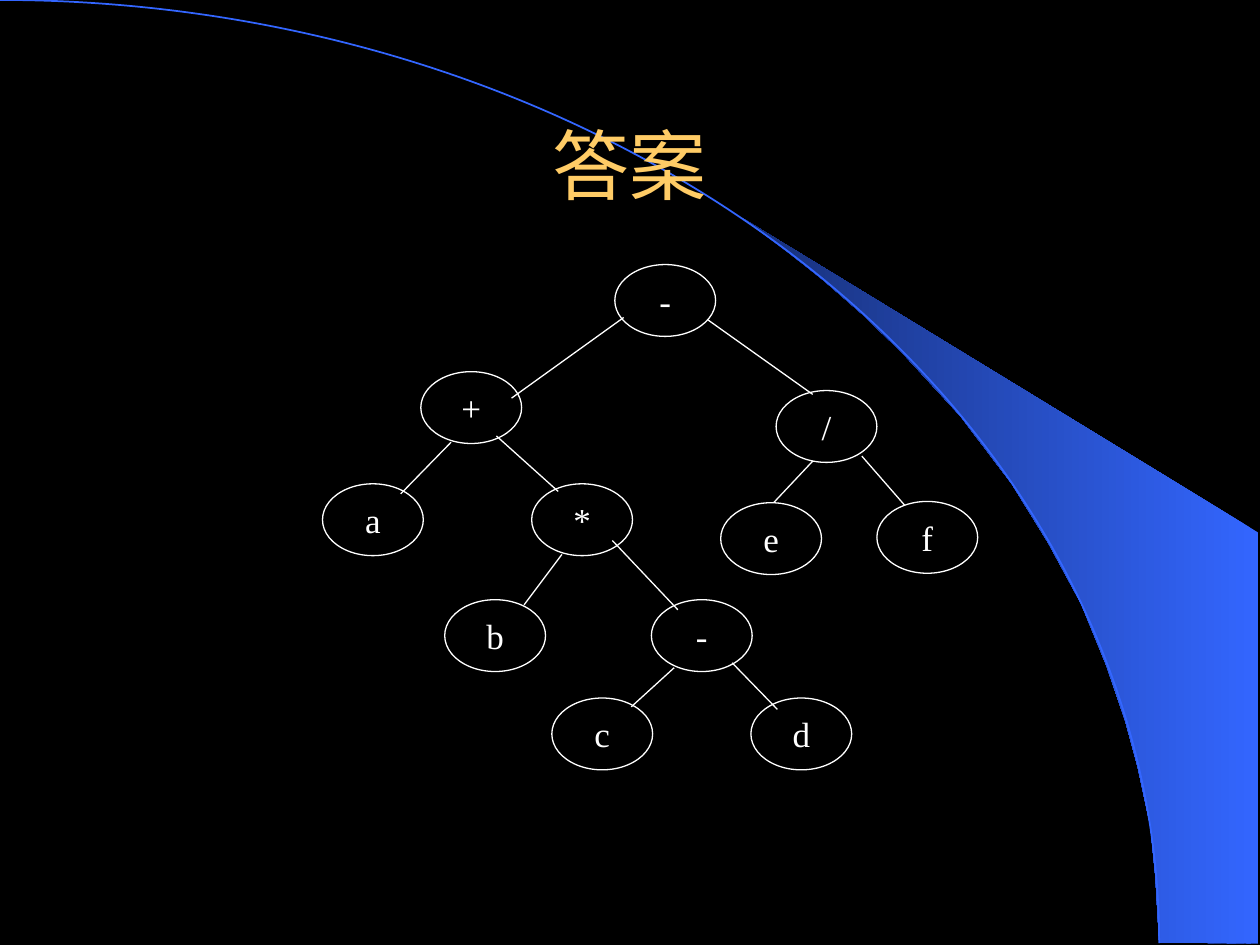
from typing import NamedTuple

from lxml.etree import SubElement
from pptx import Presentation
from pptx.dml.color import RGBColor
from pptx.enum.shapes import MSO_CONNECTOR, MSO_SHAPE
from pptx.enum.text import MSO_ANCHOR, PP_ALIGN
from pptx.oxml.ns import qn
from pptx.util import Inches, Pt

BLACK = RGBColor(0x00, 0x00, 0x00)
WHITE = RGBColor(0xFF, 0xFF, 0xFF)
GOLD = RGBColor(0xFF, 0xCC, 0x66)
BLUE = RGBColor(0x33, 0x66, 0xFF)
NAVY = RGBColor(0x17, 0x2F, 0x75)

NODE_W, NODE_H = 0.8, 0.57
TITLE_FONT = {"size": Pt(44), "name": "Arial"}
NODE_FONT = {"size": Pt(20), "name": "Times New Roman"}


class Node(NamedTuple):
    label: str
    left: float
    top: float


class Edge(NamedTuple):
    x1: float
    y1: float
    x2: float
    y2: float


NODES = [
    Node("-", 4.88, 2.1),
    Node("+", 3.34, 2.95),
    Node("/", 6.16, 3.1),
    Node("a", 2.56, 3.84),
    Node("*", 4.22, 3.84),
    Node("e", 5.72, 3.99),
    Node("f", 6.96, 3.98),
    Node("b", 3.53, 4.76),
    Node("-", 5.17, 4.76),
    Node("c", 4.38, 5.54),
    Node("d", 5.96, 5.54),
]

EDGES = [
    Edge(4.95, 2.52, 4.06, 3.16),
    Edge(5.62, 2.54, 6.45, 3.13),
    Edge(3.58, 3.51, 3.18, 3.92),
    Edge(3.94, 3.46, 4.43, 3.9),
    Edge(6.45, 3.66, 6.14, 3.99),
    Edge(6.84, 3.62, 7.18, 4.01),
    Edge(4.46, 4.4, 4.16, 4.8),
    Edge(4.86, 4.29, 5.38, 4.84),
    Edge(5.35, 5.3, 5.01, 5.61),
    Edge(5.81, 5.26, 6.17, 5.63),
]

SWOOSH = [
    (9.2, 7.48), (9.99, 7.49), (9.99, 4.23), (5.89, 1.73), (6.24, 1.99),
    (6.53, 2.22), (6.85, 2.5), (7.16, 2.8), (7.62, 3.3), (8.03, 3.84),
    (8.32, 4.31), (8.58, 4.79), (8.78, 5.28), (8.93, 5.72), (9.03, 6.09),
    (9.13, 6.56), (9.17, 6.96),
]


def set_line(sp, color: RGBColor, width: float) -> None:
    sp.line.color.rgb = color
    sp.line.width = Pt(width)


def set_text(sp, text: str, font: dict, color: RGBColor, wrap: bool) -> None:
    tf = sp.text_frame
    tf.word_wrap = wrap
    tf.vertical_anchor = MSO_ANCHOR.MIDDLE
    p = tf.paragraphs[0]
    p.alignment = PP_ALIGN.CENTER
    r = p.add_run()
    r.text = text
    for name, value in font.items():
        setattr(r.font, name, value)
    r.font.color.rgb = color


def draw_backdrop(s) -> None:
    """Black ground with the shaded blue swoosh and the arc along its edge."""
    s.background.fill.solid()
    s.background.fill.fore_color.rgb = BLACK

    points = [(Inches(x), Inches(y)) for x, y in SWOOSH]
    builder = s.shapes.build_freeform(*points[0])
    builder.add_line_segments(points[1:], close=True)
    swoosh = builder.convert_to_shape()
    swoosh.shadow.inherit = False
    swoosh.line.fill.background()
    swoosh.fill.gradient()
    swoosh.fill.gradient_angle = 180
    for stop, color in zip(swoosh.fill.gradient_stops, (BLUE, NAVY)):
        stop.color.rgb = color

    arc = s.shapes.add_shape(
        MSO_SHAPE.ARC, Inches(-9.2), Inches(0), Inches(18.4), Inches(14.97))
    arc.shadow.inherit = False
    arc.fill.background()
    set_line(arc, BLUE, 1)


def draw_title(s, text: str) -> None:
    box = s.shapes.add_textbox(
        Inches(0.75), Inches(0.67), Inches(8.5), Inches(1.25))
    set_text(box, text, TITLE_FONT, GOLD, wrap=True)


def draw_node(s, node: Node) -> None:
    sp = s.shapes.add_shape(
        MSO_SHAPE.OVAL, Inches(node.left), Inches(node.top),
        Inches(NODE_W), Inches(NODE_H))
    sp.shadow.inherit = False
    sp.fill.background()
    set_line(sp, WHITE, 0.75)
    set_text(sp, node.label, NODE_FONT, WHITE, wrap=False)


def draw_edge(s, edge: Edge) -> None:
    line = s.shapes.add_connector(
        MSO_CONNECTOR.STRAIGHT, *(Inches(v) for v in edge))
    set_line(line, WHITE, 0.75)
    SubElement(line._element.spPr, qn("a:effectLst"))


def main() -> None:
    prs = Presentation()
    prs.slide_width, prs.slide_height = Inches(10), Inches(7.5)
    s = prs.slides.add_slide(prs.slide_layouts[6])
    draw_backdrop(s)
    draw_title(s, "答案")
    for node in NODES:
        draw_node(s, node)
    for edge in EDGES:
        draw_edge(s, edge)
    prs.save("out.pptx")


if __name__ == "__main__":
    main()
